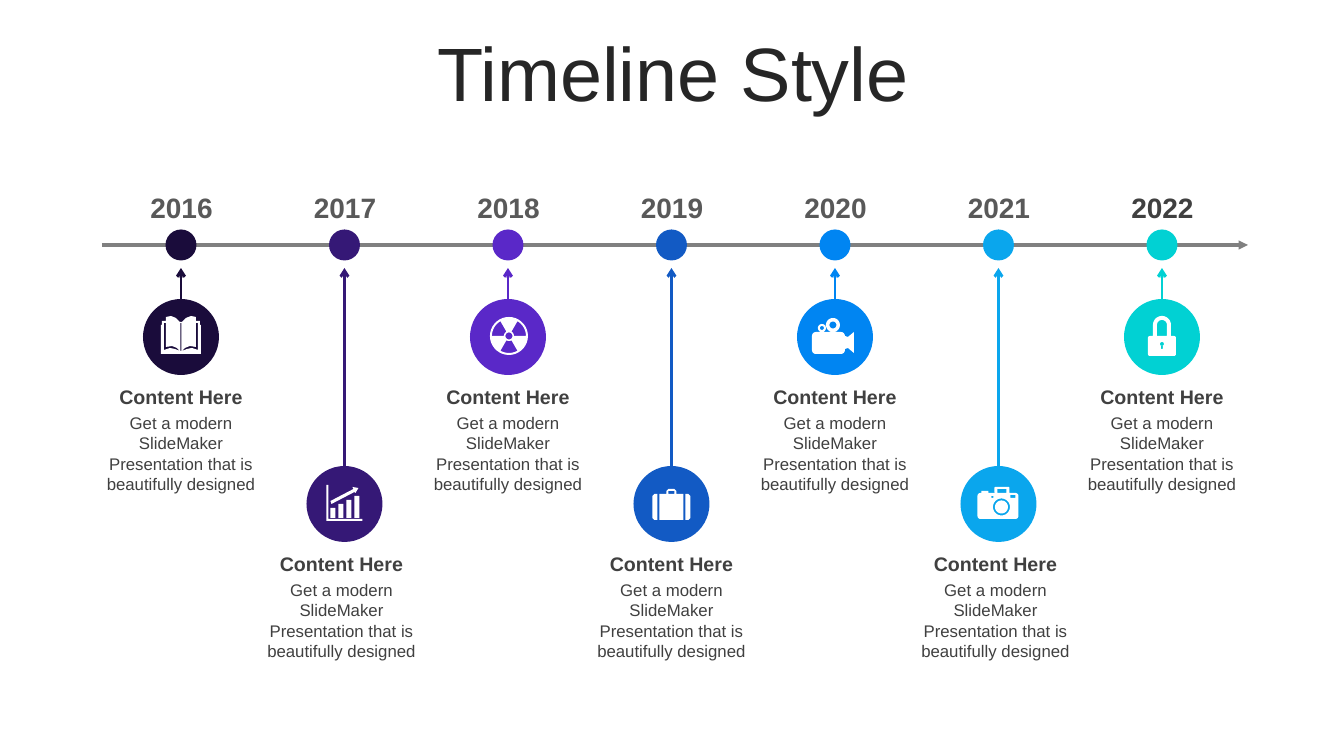
from dataclasses import dataclass
from math import cos, radians, sin

from lxml.etree import SubElement
from pptx import Presentation
from pptx.dml.color import RGBColor
from pptx.enum.shapes import MSO_CONNECTOR, MSO_SHAPE
from pptx.enum.text import MSO_ANCHOR, MSO_AUTO_SIZE, PP_ALIGN
from pptx.oxml.ns import qn
from pptx.util import Pt

SLIDE_WIDTH, SLIDE_HEIGHT = 1344, 756
EMU_PER_PIXEL = 12192000 / SLIDE_WIDTH


@dataclass(frozen=True)
class Theme:
    font: str = "Arial"
    heading: str = "262626"
    body: str = "404040"
    year: str = "595959"
    axis: str = "808080"
    icon: str = "FFFFFF"
    heading_size: int = 54
    year_size: int = 20
    caption_size: int = 14
    body_size: int = 12
    axis_width: float = 2.25
    arrow_width: float = 2


@dataclass(frozen=True)
class Box:
    left: float
    top: float
    width: float
    height: float

    def emu(self):
        return [px(v) for v in (self.left, self.top, self.width, self.height)]


THEME = Theme()


def px(length):
    return round(length * EMU_PER_PIXEL)


def rect(x, y, w, h):
    return [(x, y), (x + w, y), (x + w, y + h), (x, y + h)]


def arc(x, y, radius, start, end, steps=24):
    angles = [radians(start + (end - start) * i / steps) for i in range(steps + 1)]
    return [(x + radius * cos(a), y + radius * sin(a)) for a in angles]


def circle(x, y, radius):
    return arc(x, y, radius, 0, 360, 36)[:-1]


def rounded(x, y, w, h, r):
    corners = [(x + w - r, y + h - r), (x + r, y + h - r), (x + r, y + r), (x + w - r, y + r)]
    return [p for i, (cx, cy) in enumerate(corners)
            for p in arc(cx, cy, r, 90 * i, 90 * i + 90, 6)]


def mirrored(points):
    return [(-x, y) for x, y in reversed(points)]


def book():
    cover = [(-20, 17), (-20, -12), (-19, -12), (-19, -16), (-15, -16), (-15, -20),
             (-10, -21), (-5, -19), (-1, -15)]
    page_edge = [(-17, -14), (-15, -14), (-15, 10), (-9, 9), (-4, 11), (-1, 14),
                 (-6, 12), (-11, 11), (-17, 13)]
    return [cover + mirrored(cover), page_edge, mirrored(page_edge), rect(-0.5, -14, 1, 28)]


def bar_chart():
    axes = [(-18, -19), (-16, -19), (-16, 15), (18, 15), (18, 17), (-18, 17)]
    trend = [(8, -17), (14, -16), (11, -11), (10, -12), (-13, 0), (-14, -3), (9, -15)]
    bars = [rect(-14 + 8 * i, 4 - 4 * i, 5, 10 + 4 * i) for i in range(4)]
    return [axes, trend, *bars]


def radiation():
    wedges = [arc(1, -1, 5, a, a + 60) + arc(1, -1, 17, a + 60, a) for a in (60, 180, 300)]
    return [circle(1, -1, 19), circle(1, -1, 3.5), *wedges]


def suitcase():
    side = [(-14, -10), (-17, -10), (-19, -8), (-19, 14), (-17, 16), (-14, 16)]
    half = [(-12, 16), (-12, -10), (-5, -10), (-5, -13), (-3, -15)]
    return [side, mirrored(side), half + mirrored(half), rect(-3, -13, 6, 3)]


def film_camera():
    lens = [(10, -1), (13, 0), (19, -5), (19, 16), (13, 11), (10, 12)]
    return [rounded(-23, -5, 33, 22, 4), lens, circle(-2, -12, 7), circle(-2, -12, 3.5),
            circle(-13, -9, 4), circle(-13, -9, 2)]


def photo_camera():
    return [rounded(-21, -11, 41, 26, 3), circle(3, 3, 8.5), circle(3, 3, 6.5),
            rounded(-4, -17, 15, 6, 1), rect(-1, -15, 9, 4), rect(-17, -13, 7, 2),
            rect(-7, -8, 2, 2), rect(12, -9, 5, 3)]


def padlock():
    shackle = (arc(0, -12, 9, 180, 360) + [(9, -1), (5, -1)]
               + arc(0, -12, 5, 360, 180) + [(-5, -1), (-9, -1)])
    return [rounded(-14, -1, 28, 20, 2), shackle, circle(0, 7, 2), rect(-1, 9, 2, 3)]


def style_text(frame, text, size, color, bold, anchor):
    frame.text = text
    frame.word_wrap = True
    frame.vertical_anchor = anchor
    paragraph = frame.paragraphs[0]
    paragraph.alignment = PP_ALIGN.CENTER
    font = paragraph.runs[0].font
    font.name, font.size, font.bold = THEME.font, Pt(size), bold
    font.color.rgb = RGBColor.from_string(color)


def add_text(slide, box, text, size, color, bold=True, anchor=MSO_ANCHOR.MIDDLE):
    frame = slide.shapes.add_textbox(*box.emu()).text_frame
    style_text(frame, text, size, color, bold, anchor)
    frame.auto_size = MSO_AUTO_SIZE.SHAPE_TO_FIT_TEXT


def paint(shape, color):
    shape.shadow.inherit = False
    shape.fill.solid()
    shape.fill.fore_color.rgb = RGBColor.from_string(color)
    shape.line.fill.background()


def add_disc(slide, x, y, diameter, color):
    box = Box(x - diameter / 2, y - diameter / 2, diameter, diameter)
    paint(slide.shapes.add_shape(MSO_SHAPE.OVAL, *box.emu()), color)


def add_arrow(slide, start, end, color, width, head):
    arrow = slide.shapes.add_connector(MSO_CONNECTOR.STRAIGHT, *map(px, start + end))
    arrow.line.color.rgb = RGBColor.from_string(color)
    arrow.line.width = Pt(width)
    SubElement(arrow.line._get_or_add_ln(), qn("a:tailEnd"), type=head)
    SubElement(arrow._element.spPr, qn("a:effectLst"))


def add_icon(slide, x, y, contours):
    placed = [[(px(x + dx), px(y + dy)) for dx, dy in contour] for contour in contours]
    builder = slide.shapes.build_freeform(*placed[0][0])
    for contour in placed:
        builder.move_to(*contour[0])
        builder.add_line_segments(contour[1:], close=True)
    paint(builder.convert_to_shape(), THEME.icon)


def add_heading(slide, box, text):
    heading = slide.shapes.title
    heading.left, heading.top, heading.width, heading.height = box.emu()
    style_text(heading.text_frame, text, THEME.heading_size, THEME.heading, False, MSO_ANCHOR.MIDDLE)
    heading.text_frame.auto_size = MSO_AUTO_SIZE.NONE
    heading.text_frame.paragraphs[0].line_spacing = 0.9
    heading.text_frame.paragraphs[0].space_before = Pt(10)


def add_milestone(slide, box, year, color, icon, caption_shift, year_color):
    x = box.left + box.width / 2
    axis_y, disc_y = box.top + 60, box.top + box.height - 163
    add_text(slide, Box(x - 51, box.top, 103, 44), year, THEME.year_size, year_color)
    add_disc(slide, x, axis_y, 31, color)
    add_arrow(slide, (x, disc_y - 38), (x, axis_y + 23), color, THEME.arrow_width, "arrow")
    add_disc(slide, x, disc_y, 76, color)
    add_icon(slide, x, disc_y, icon())
    caption_left = x + caption_shift - 85.5
    add_text(slide, Box(caption_left, disc_y + 43, 171, 34), "Content Here",
             THEME.caption_size, THEME.body)
    add_text(slide, Box(caption_left, disc_y + 71, 171, 92),
             "Get a modern SlideMaker Presentation that is beautifully designed",
             THEME.body_size, THEME.body, False, MSO_ANCHOR.TOP)


def add_timeline(slide, box, milestones):
    axis_y = box.top + 60
    add_arrow(slide, (box.left, axis_y), (box.left + box.width, axis_y),
              THEME.axis, THEME.axis_width, "triangle")
    first_x, last_x = box.left + 79, box.left + box.width - 86
    step = (last_x - first_x) / (len(milestones) - 1)
    for i, milestone in enumerate(milestones):
        height = box.height if i % 2 else box.height - 167
        year_color = THEME.body if i == len(milestones) - 1 else THEME.year
        column = Box(first_x + (i - 0.5) * step, box.top, step, height)
        add_milestone(slide, column, *milestone, year_color)


MILESTONES = [
    ("2016", "1A0C3B", book, 0),
    ("2017", "351876", bar_chart, -3),
    ("2018", "5A28C8", radiation, 0),
    ("2019", "125AC4", suitcase, 0),
    ("2020", "0085F2", film_camera, 0),
    ("2021", "0AA6ED", photo_camera, -3),
    ("2022", "01D1D3", padlock, 0),
]

deck = Presentation()
deck.slide_width, deck.slide_height = px(SLIDE_WIDTH), px(SLIDE_HEIGHT)
timeline_slide = deck.slides.add_slide(deck.slide_layouts[5])
add_heading(timeline_slide, Box(35, 37, 1276, 80), "Timeline Style")
add_timeline(timeline_slide, Box(102, 185, 1146, 482), MILESTONES)
deck.save("out.pptx")
